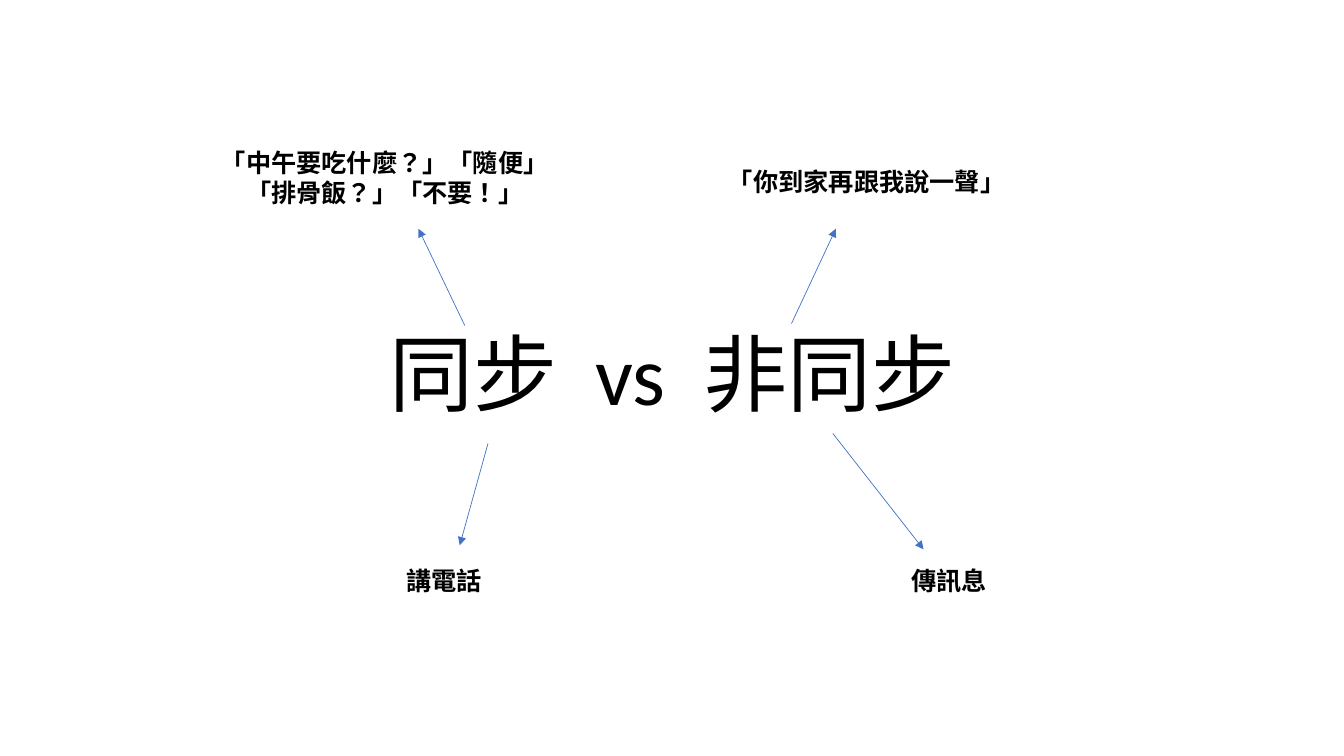
from dataclasses import dataclass

from lxml.etree import SubElement
from pptx import Presentation
from pptx.dml.color import RGBColor
from pptx.enum.shapes import MSO_CONNECTOR
from pptx.enum.text import MSO_ANCHOR, PP_ALIGN
from pptx.oxml.ns import qn
from pptx.slide import Slide
from pptx.util import Inches, Pt

BLACK = RGBColor(0x00, 0x00, 0x00)
BLUE = RGBColor(0x44, 0x72, 0xC4)
FONT = "Calibri"
TITLE_GAP = 1350  # extra width of each space in the title, in hundredths of a point


@dataclass(frozen=True)
class Example:
    """A sample of one communication style, with the arrow leading to it."""
    lines: tuple[str, ...]
    box: tuple[float, float, float, float]
    start: tuple[float, float]
    end: tuple[float, float]


EXAMPLES = (
    Example(("講電話",), (3.08, 5.56, 2.65, 0.4), (4.84, 4.4), (4.56, 5.41)),
    Example(("傳訊息",), (8.09, 5.56, 2.65, 0.4), (8.26, 4.3), (9.16, 5.45)),
    Example(("「中午要吃什麼？」「隨便」", "「排骨飯？」「不要！」"),
            (1.89, 1.41, 3.85, 0.71), (4.61, 3.23), (4.15, 2.27)),
    Example(("「你到家再跟我說一聲」",), (6.67, 1.6, 3.85, 0.4), (7.85, 3.21), (8.29, 2.27)),
)


def add_text(slide: Slide, lines: tuple[tuple[str, ...], ...],
             box: tuple[float, float, float, float], *, size: float, bold: bool = False,
             anchor: MSO_ANCHOR = MSO_ANCHOR.TOP, line_spacing: float = 1.0,
             space_tracking: int = 0) -> None:
    """Add centred lines, each given as its runs; space_tracking widens the space runs."""
    frame = slide.shapes.add_textbox(*map(Inches, box)).text_frame
    frame.word_wrap = True
    frame.vertical_anchor = anchor
    for index, runs in enumerate(lines):
        paragraph = frame.paragraphs[0] if index == 0 else frame.add_paragraph()
        paragraph.alignment = PP_ALIGN.CENTER
        paragraph.line_spacing = line_spacing
        for text in runs:
            run = paragraph.add_run()
            run.text = text
            run.font.name = FONT
            run.font.size = Pt(size)
            run.font.bold = bold
            run.font.color.rgb = BLACK
            properties = run._r.get_or_add_rPr()
            properties.set("lang", "zh-TW")
            if text == " " and space_tracking:
                properties.set("spc", str(space_tracking))


def add_arrow(slide: Slide, start: tuple[float, float], end: tuple[float, float]) -> None:
    arrow = slide.shapes.add_connector(MSO_CONNECTOR.STRAIGHT, *map(Inches, start + end))
    arrow.line.color.rgb = BLUE
    arrow.line.width = Pt(0.5)
    SubElement(arrow.line._get_or_add_ln(), qn("a:tailEnd"), type="triangle")
    SubElement(arrow._element.spPr, qn("a:effectLst"))


def main() -> None:
    deck = Presentation()
    deck.slide_width, deck.slide_height = Inches(13.33), Inches(7.5)
    slide = deck.slides.add_slide(deck.slide_layouts[6])
    add_text(slide, (("同步", " ", "vs", " ", "非同步"),), (0.92, 2.55, 11.5, 2.4), size=60,
             anchor=MSO_ANCHOR.MIDDLE, line_spacing=0.9, space_tracking=TITLE_GAP)
    for example in EXAMPLES:
        add_arrow(slide, example.start, example.end)
        add_text(slide, tuple((line,) for line in example.lines), example.box,
                 size=18, bold=True)
    deck.save("out.pptx")


if __name__ == "__main__":
    main()
